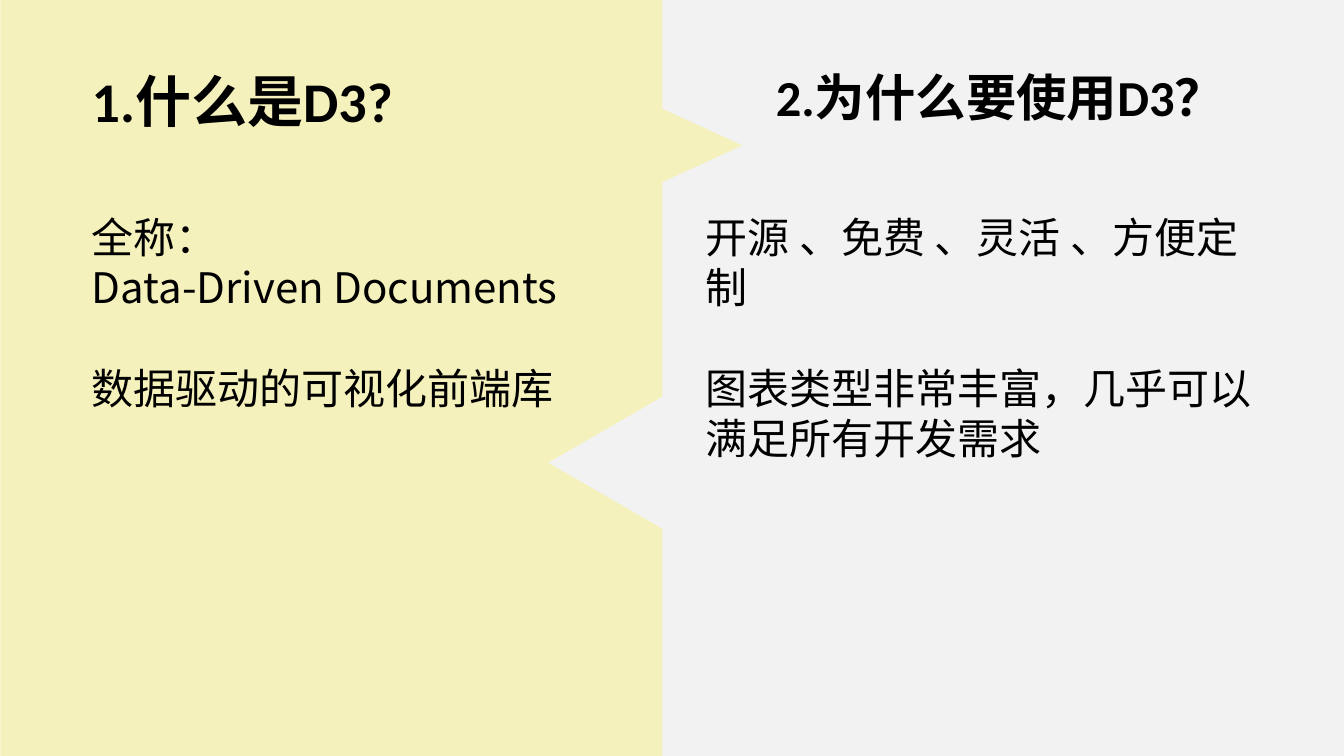
"""Builds a two-panel slide that introduces D3 and the reasons to use it."""
from lxml.etree import SubElement
from pptx import Presentation
from pptx.dml.color import RGBColor
from pptx.enum.shapes import MSO_SHAPE
from pptx.enum.text import MSO_ANCHOR, MSO_AUTO_SIZE, PP_ALIGN
from pptx.oxml.ns import qn
from pptx.util import Inches, Pt

COLORS = {"yellow": "F5F1BC", "gray": "F2F2F2", "text": "000000"}
CJK_FONT = "Noto Sans CJK SC"

deck = Presentation()
deck.slide_width = Inches(26.66)
deck.slide_height = Inches(15)
page = deck.slides.add_slide(deck.slide_layouts[6])

panels = [
    (MSO_SHAPE.RECTANGLE, "gray", (10.39, 0, 16.3, 15), 0),
    (MSO_SHAPE.RECTANGLE, "yellow", (0.01, 0, 13.13, 15), 0),
    (MSO_SHAPE.ISOSCELES_TRIANGLE, "yellow", (11.82, 1.37, 2.78, 3.03), 90),
    (MSO_SHAPE.ISOSCELES_TRIANGLE, "gray", (10.69, 7.98, 2.78, 2.4), 270),
]
for preset, color, place, rotation in panels:
    panel = page.shapes.add_shape(preset, *map(Inches, place))
    panel.rotation = rotation
    panel.shadow.inherit = False
    panel.fill.solid()
    panel.fill.fore_color.rgb = RGBColor.from_string(COLORS[color])
    panel.line.fill.background()

texts = [
    ((1.72, 1.27, 7.65, 2.78), 80, "Calibri", True, ["1.什么是D3?"]),
    ((1.72, 4.14, 9.54, 5.1), 60, CJK_FONT, False,
     ["全称：", "Data-Driven Documents", "数据驱动的可视化前端库"]),
    ((15.29, 1.27, 10.04, 1.31), 72, "Calibri", True, ["2.为什么要使用D3？"]),
    ((13.9, 4.14, 11.45, 6.1), 60, CJK_FONT, False,
     ["开源 、免费 、灵活 、方便定制", "图表类型非常丰富，几乎可以满足所有开发需求"]),
]
for place, size, font_name, bold, lines in texts:
    box = page.shapes.add_textbox(*map(Inches, place))
    frame = box.text_frame
    frame.word_wrap = True
    frame.auto_size = MSO_AUTO_SIZE.SHAPE_TO_FIT_TEXT
    frame.vertical_anchor = MSO_ANCHOR.TOP
    frame.text = "\n".join(lines)
    for para in frame.paragraphs:
        para.alignment = PP_ALIGN.LEFT
        for span in para.runs:
            span.font.size = Pt(size)
            span.font.name = font_name
            span.font.bold = bold
            span.font.color.rgb = RGBColor.from_string(COLORS["text"])
            east_asian = SubElement(span.font._element, qn("a:ea"))
            east_asian.set("typeface", CJK_FONT)
    if len(lines) > 1:
        frame.paragraphs[-1].space_before = Pt(72)

deck.save("out.pptx")
